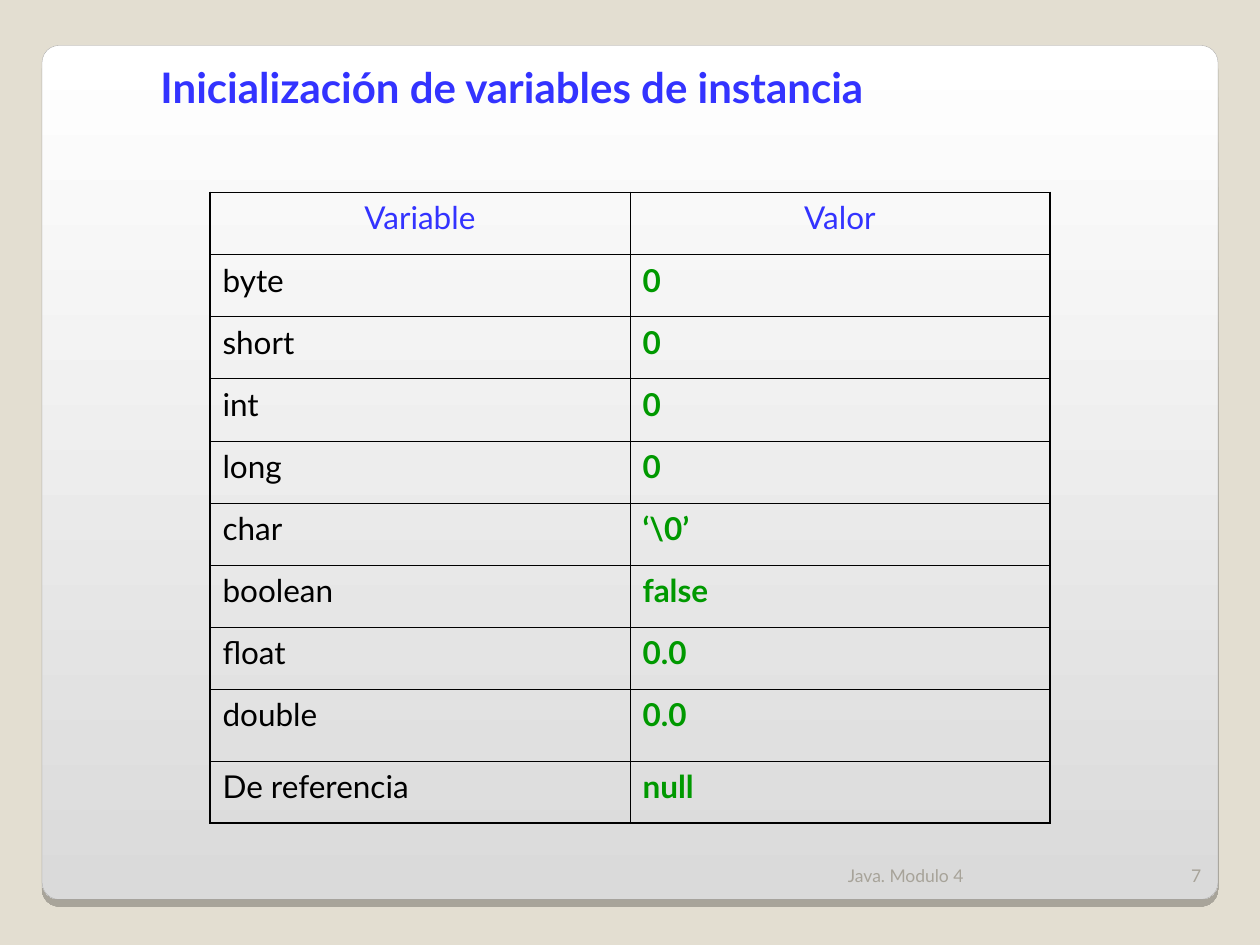
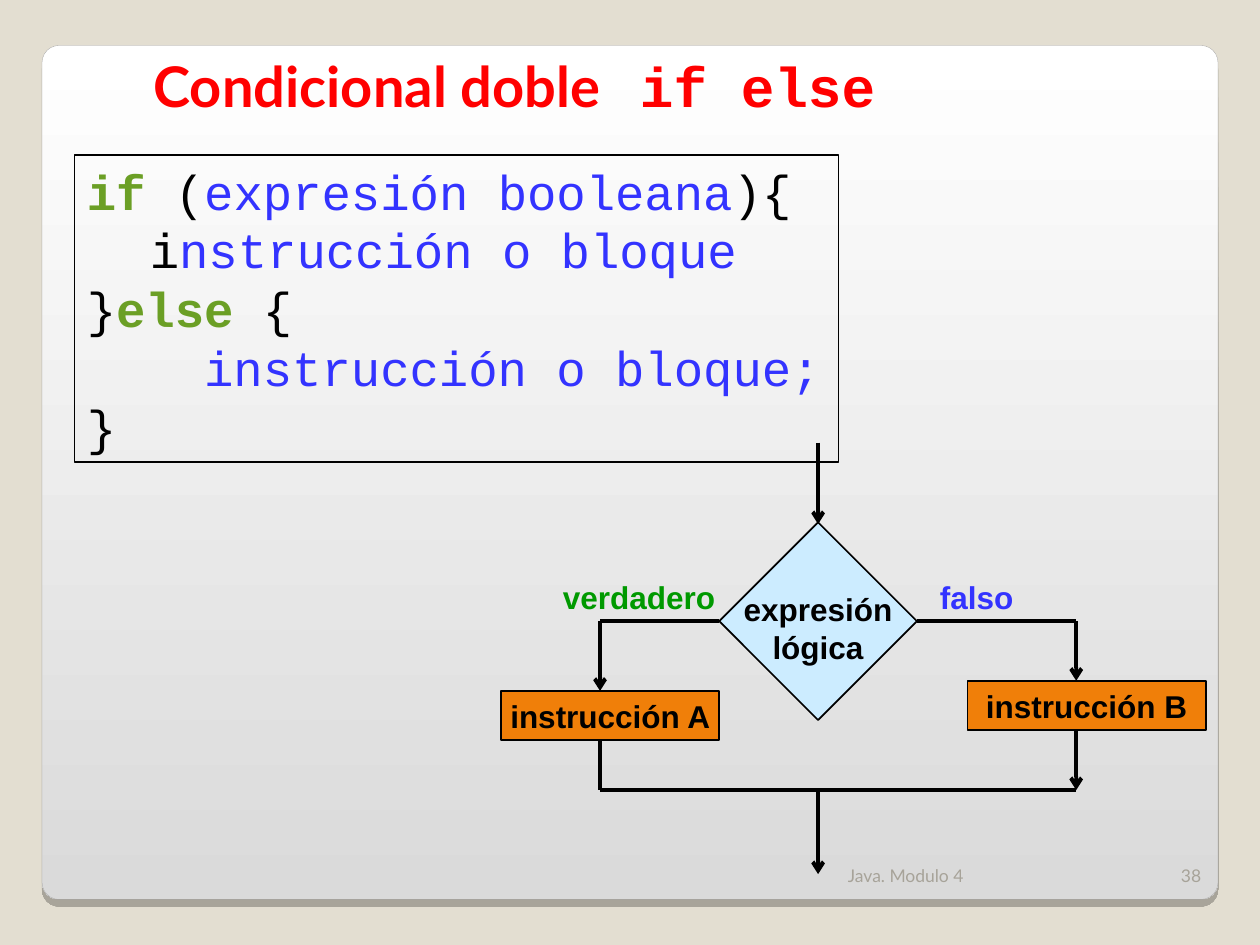
from dataclasses import dataclass

from lxml.etree import SubElement
from pptx import Presentation
from pptx.dml.color import RGBColor
from pptx.enum.shapes import MSO_CONNECTOR, MSO_SHAPE
from pptx.enum.text import MSO_ANCHOR, MSO_AUTO_SIZE, PP_ALIGN
from pptx.oxml.ns import qn
from pptx.util import Pt

BLACK = RGBColor(0x00, 0x00, 0x00)
WHITE = RGBColor(0xFF, 0xFF, 0xFF)
SAND = RGBColor(0xE3, 0xDE, 0xD1)
SILVER = RGBColor(0xDA, 0xDA, 0xDA)
EDGE = RGBColor(0xA4, 0xA3, 0xA3)
FOOTER_GRAY = RGBColor(0xA7, 0xA3, 0x99)
BLUE = RGBColor(0x33, 0x33, 0xFF)
RED = RGBColor(0xFF, 0x00, 0x00)
GREEN = RGBColor(0x00, 0x99, 0x00)
KEYWORD_GREEN = RGBColor(0x6B, 0x9F, 0x25)
ORANGE = RGBColor(0xF0, 0x7F, 0x09)
PALE_BLUE = RGBColor(0xCC, 0xEC, 0xFF)

BODY_FONT = "Lato"
CODE_FONT = "Courier New"
CHART_FONT = "Arial"

THIN, THICK = 0.45, 1.08
ROW_HEIGHT, TALL_ROW_HEIGHT = 35.5, 41
TALL_ROW = 8
COLUMN_WIDTH = 240

LEFT_X, CENTER_X, RIGHT_X = 342.9, 467.5, 615
ENTRY_Y, BRANCH_Y, MERGE_Y, EXIT_Y = 253, 355, 451.5, 499.5
DIAMOND_SIZE = 113


@dataclass(frozen=True)
class Frame:
    left: float
    top: float
    width: float
    height: float

    def lengths(self):
        return Pt(self.left), Pt(self.top), Pt(self.width), Pt(self.height)


@dataclass(frozen=True)
class Style:
    size: float
    color: RGBColor
    font: str = BODY_FONT
    bold: bool = False


@dataclass(frozen=True)
class Span:
    text: str
    style: Style


@dataclass(frozen=True)
class Node:
    kind: MSO_SHAPE
    frame: Frame
    fill: RGBColor
    text: str
    top_inset: float = 3.6


@dataclass(frozen=True)
class Flow:
    start: tuple[float, float]
    end: tuple[float, float]
    arrow: bool = False


FOOTER = Style(10, FOOTER_GRAY)
NODE_STYLE = Style(18, BLACK, CHART_FONT, True)
CODE = Style(28, BLACK, CODE_FONT)
CODE_BLUE = Style(28, BLUE, CODE_FONT)
CODE_KEYWORD = Style(28, KEYWORD_GREEN, CODE_FONT, True)

VARIABLE_ROWS = [
    ("Variable", "Valor"),
    ("byte", "0"),
    ("short", "0"),
    ("int", "0"),
    ("long", "0"),
    ("char", "‘\\0’"),
    ("boolean", "false"),
    ("float", "0.0"),
    ("double", "0.0"),
    ("De referencia", "null"),
]

CODE_LINES = [
    [Span("if", CODE_KEYWORD), Span(" (", CODE),
     Span("expresión booleana", CODE_BLUE), Span("){", CODE)],
    [Span("\ti", CODE), Span("nstrucción o bloque", CODE_BLUE)],
    [Span("}", CODE), Span("else", CODE_KEYWORD), Span(" {", CODE)],
    [Span("    instrucción o bloque;", CODE_BLUE)],
    [Span("}", CODE)],
]

DIAMOND = Frame(CENTER_X - DIAMOND_SIZE / 2, BRANCH_Y - DIAMOND_SIZE / 2,
                DIAMOND_SIZE, DIAMOND_SIZE)
BOX_A = Frame(286.5, 394.8, 124.6, 28.2)
BOX_B = Frame(552.8, 389, 136.2, 28.4)

NODES = [
    Node(MSO_SHAPE.RECTANGLE, BOX_A, ORANGE, "instrucción A"),
    Node(MSO_SHAPE.DIAMOND, DIAMOND, PALE_BLUE, "expresión\nlógica", 11.6),
    Node(MSO_SHAPE.RECTANGLE, BOX_B, ORANGE, "instrucción B"),
]

FLOWS = [
    Flow((CENTER_X, ENTRY_Y), (CENTER_X, DIAMOND.top + 1), True),
    Flow((DIAMOND.left, BRANCH_Y), (LEFT_X, BRANCH_Y)),
    Flow((LEFT_X, BRANCH_Y), (LEFT_X, BOX_A.top), True),
    Flow((LEFT_X, BOX_A.top + BOX_A.height), (LEFT_X, MERGE_Y)),
    Flow((DIAMOND.left + DIAMOND_SIZE, BRANCH_Y), (RIGHT_X, BRANCH_Y)),
    Flow((RIGHT_X, BRANCH_Y), (RIGHT_X, BOX_B.top), True),
    Flow((RIGHT_X, BOX_B.top + BOX_B.height), (RIGHT_X, MERGE_Y), True),
    Flow((LEFT_X, MERGE_Y), (RIGHT_X, MERGE_Y)),
    Flow((CENTER_X, MERGE_Y), (CENTER_X, EXIT_Y), True),
]


def format_font(font, style: Style) -> None:
    font.name = style.font
    font.size = Pt(style.size)
    font.bold = style.bold
    font.color.rgb = style.color


def add_spans(para, spans: list[Span]) -> None:
    for span in spans:
        run = para.add_run()
        run.text = span.text
        format_font(run.font, span.style)


def set_text(text_frame, text: str, style: Style, align=PP_ALIGN.LEFT) -> None:
    text_frame.text = text
    for para in text_frame.paragraphs:
        para.alignment = align
        for run in para.runs:
            format_font(run.font, style)


def add_label(page, frame: Frame, text: str, style: Style,
              align=PP_ALIGN.LEFT, anchor=MSO_ANCHOR.TOP) -> None:
    text_frame = page.shapes.add_textbox(*frame.lengths()).text_frame
    text_frame.word_wrap = True
    text_frame.vertical_anchor = anchor
    set_text(text_frame, text, style, align)


def add_panel(page):
    panel = page.shapes.add_shape(MSO_SHAPE.ROUNDED_RECTANGLE,
                                  *Frame(24, 26, 672, 488).lengths())
    panel.adjustments[0] = 0.02
    panel.fill.gradient()
    panel.fill.gradient_angle = 270
    for stop, color in zip(panel.fill.gradient_stops, (WHITE, SILVER)):
        stop.color.rgb = color
    panel.line.color.rgb = EDGE
    panel.line.width = Pt(0.17)
    panel.shadow.inherit = False
    effects = panel.element.spPr.find(qn("a:effectLst"))
    shadow = SubElement(effects, qn("a:outerShdw"), blurRad="0",
                        dist=str(Pt(4)), dir="5400000", rotWithShape="0")
    color = SubElement(shadow, qn("a:srgbClr"), val=str(BLACK))
    SubElement(color, qn("a:alpha"), val="25000")
    return panel


def add_page(deck, number: int, title_frame: Frame):
    page = deck.slides.add_slide(deck.slide_layouts[5])
    title = page.shapes.title
    add_panel(page).element.addnext(title.element)
    title.left, title.top, title.width, title.height = title_frame.lengths()
    title.text_frame.vertical_anchor = MSO_ANCHOR.TOP
    title.text_frame.auto_size = MSO_AUTO_SIZE.NONE
    title.text_frame.word_wrap = True
    add_label(page, Frame(477.5, 481, 180, 28.8), "Java. Modulo 4", FOOTER,
              anchor=MSO_ANCHOR.BOTTOM)
    add_label(page, Frame(657.5, 481, 36, 28.8), str(number), FOOTER,
              PP_ALIGN.RIGHT, MSO_ANCHOR.BOTTOM)
    return page


def set_borders(cell, widths: dict[str, float]) -> None:
    properties = cell._tc.get_or_add_tcPr()
    for side, width in widths.items():
        border = SubElement(properties, qn(f"a:ln{side}"), w=str(Pt(width)))
        fill = SubElement(border, qn("a:solidFill"))
        SubElement(fill, qn("a:srgbClr"), val=str(BLACK))


def add_variable_table(page) -> None:
    last_row = len(VARIABLE_ROWS) - 1
    height = last_row * ROW_HEIGHT + TALL_ROW_HEIGHT
    frame = Frame(120, 110, 2 * COLUMN_WIDTH, height)
    table = page.shapes.add_table(last_row + 1, 2, *frame.lengths()).table
    table.first_row = False
    table.horz_banding = False
    for column in table.columns:
        column.width = Pt(COLUMN_WIDTH)
    for row, texts in enumerate(VARIABLE_ROWS):
        table.rows[row].height = Pt(TALL_ROW_HEIGHT if row == TALL_ROW else ROW_HEIGHT)
        for column, text in enumerate(texts):
            cell = table.cell(row, column)
            set_borders(cell, {
                "L": THICK if column == 0 else THIN,
                "R": THICK if column == 1 else THIN,
                "T": THICK if row == 0 else THIN,
                "B": THICK if row == last_row else THIN,
            })
            cell.fill.background()
            if row == 0:
                set_text(cell.text_frame, text, Style(18, BLUE), PP_ALIGN.CENTER)
            elif column == 0:
                set_text(cell.text_frame, text, Style(18, BLACK))
            else:
                set_text(cell.text_frame, text, Style(18, GREEN, bold=True))


def add_code_box(page) -> None:
    box = page.shapes.add_shape(MSO_SHAPE.RECTANGLE,
                                *Frame(42.5, 88.5, 436.5, 175.5).lengths())
    box.shadow.inherit = False
    box.fill.background()
    box.line.color.rgb = BLACK
    box.line.width = Pt(0.75)
    text_frame = box.text_frame
    text_frame.word_wrap = True
    text_frame.vertical_anchor = MSO_ANCHOR.TOP
    for index, spans in enumerate(CODE_LINES):
        para = text_frame.add_paragraph() if index else text_frame.paragraphs[0]
        para.alignment = PP_ALIGN.LEFT
        add_spans(para, spans)


def add_node(page, node: Node) -> None:
    box = page.shapes.add_shape(node.kind, *node.frame.lengths())
    box.shadow.inherit = False
    box.fill.solid()
    box.fill.fore_color.rgb = node.fill
    box.line.color.rgb = BLACK
    box.line.width = Pt(1)
    box.text_frame.word_wrap = False
    box.text_frame.vertical_anchor = MSO_ANCHOR.MIDDLE
    box.text_frame.margin_top = Pt(node.top_inset)
    set_text(box.text_frame, node.text, NODE_STYLE, PP_ALIGN.CENTER)


def add_flow(page, flow: Flow) -> None:
    points = [Pt(value) for value in (*flow.start, *flow.end)]
    connector = page.shapes.add_connector(MSO_CONNECTOR.STRAIGHT, *points)
    connector.line.color.rgb = BLACK
    connector.line.width = Pt(2.25)
    properties = connector.element.spPr
    if flow.arrow:
        SubElement(properties.find(qn("a:ln")), qn("a:tailEnd"), type="arrow")
    SubElement(properties, qn("a:effectLst"))


def build_variables_page(deck) -> None:
    page = add_page(deck, 7, Frame(84.5, 31.7, 475, 36))
    set_text(page.shapes.title.text_frame, "Inicialización de variables de instancia",
             Style(24, BLUE, bold=True))
    add_variable_table(page)


def build_conditional_page(deck) -> None:
    page = add_page(deck, 38, Frame(80.5, 26, 459, 46))
    para = page.shapes.title.text_frame.paragraphs[0]
    para.alignment = PP_ALIGN.LEFT
    tabs = SubElement(para._p.get_or_add_pPr(), qn("a:tabLst"))
    SubElement(tabs, qn("a:tab"), pos=str(Pt(278)), algn="l")
    add_spans(para, [Span("Condicional doble\t", Style(32, RED, bold=True)),
                     Span("if else", Style(32, RED, CODE_FONT, True))])
    add_code_box(page)
    for node in NODES:
        add_node(page, node)
    for flow in FLOWS:
        add_flow(page, flow)
    add_label(page, Frame(314.5, 327, 104, 29), "verdadero",
              Style(18, GREEN, CHART_FONT, True))
    add_label(page, Frame(530, 327, 60, 29), "falso",
              Style(18, BLUE, CHART_FONT, True))


def main() -> None:
    deck = Presentation()
    deck.slide_width, deck.slide_height = Pt(720), Pt(540)
    background = deck.slide_master.background.fill
    background.solid()
    background.fore_color.rgb = SAND
    build_variables_page(deck)
    build_conditional_page(deck)
    deck.save("out.pptx")


if __name__ == "__main__":
    main()
